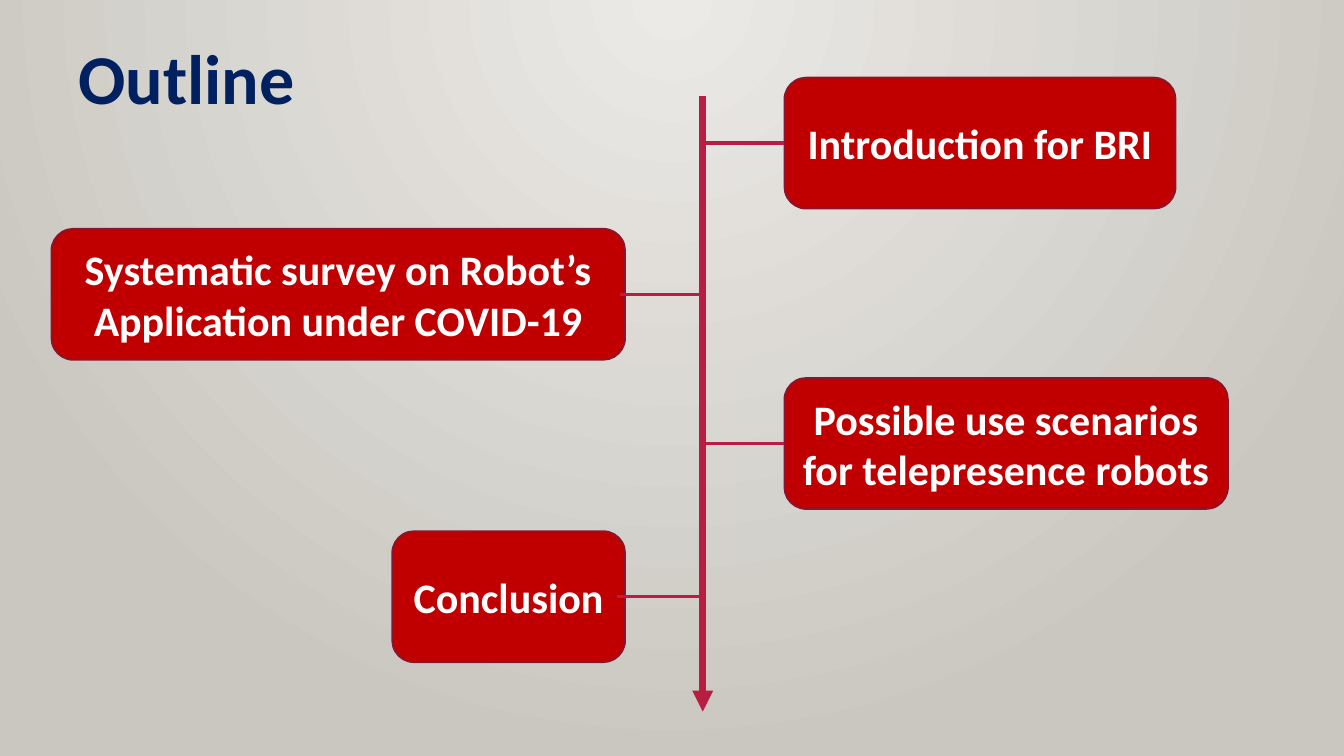
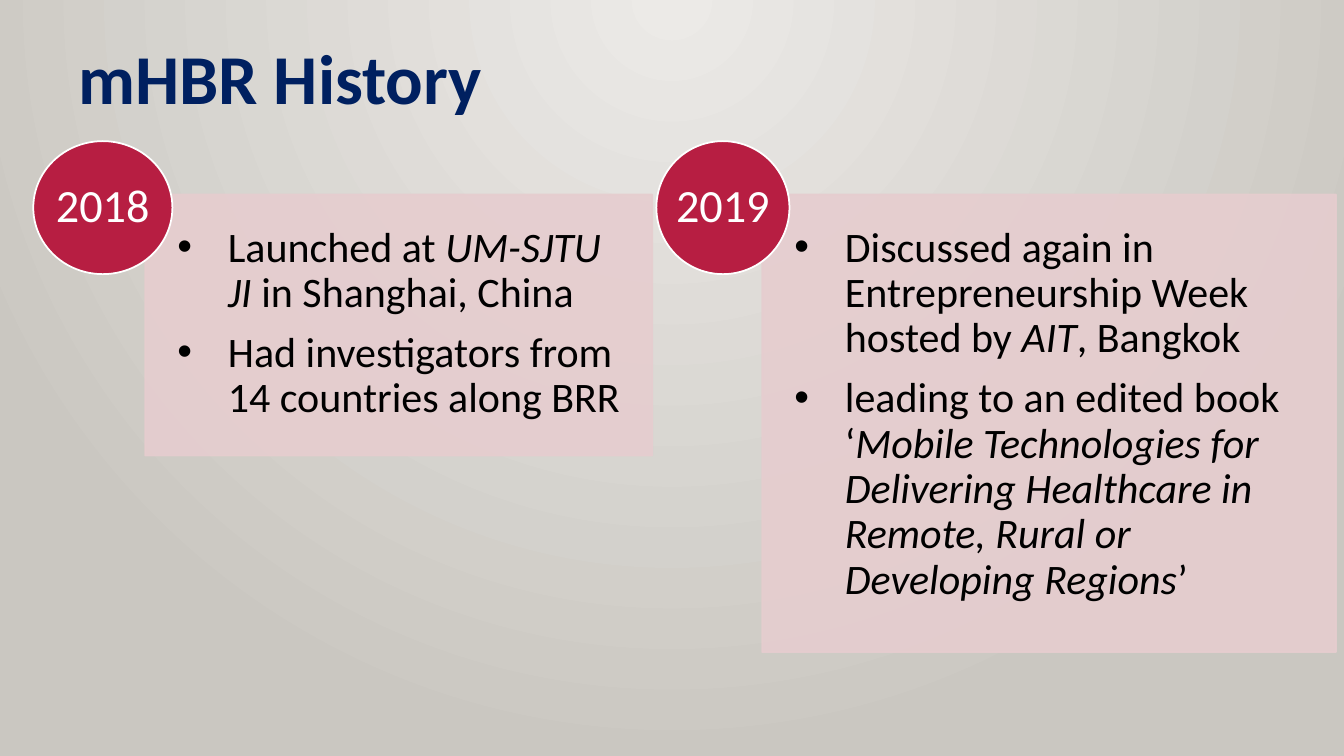
from pptx import Presentation
from pptx import util as u
from pptx.dml.color import RGBColor
from pptx.enum import shapes, text
from pptx.oxml.ns import qn
from lxml import etree

EMU_PER_PX = 9144  # 100 px to the inch
FONT = "Calibri"
NAVY, RED, CRIMSON, MAROON = "002060", "C00000", "B71E42", "871631"
PINK, WHITE, BLACK = "E6CDCF", "FFFFFF", "000000"
GLOW, GREY = "ECEAE7", "CAC7C1"


def px(n):
    return u.Emu(n * EMU_PER_PX)


def rgb(value):
    return RGBColor.from_string(value)


def add_node(parent, tag, **attrs):
    return etree.SubElement(parent, qn(tag), attrs)


def set_opacity(shape, percent):
    """Make the solid fill and outline of a shape partly see-through."""
    for color in shape._element.spPr.iter(qn("a:srgbClr")):
        add_node(color, "a:alpha", val=str(percent * 1000))


def add_bullet(p, indent):
    pPr = p._p.get_or_add_pPr()
    pPr.set("marL", str(px(indent)))
    pPr.set("indent", str(-px(indent)))
    add_node(pPr, "a:buFont", typeface="Arial")
    add_node(pPr, "a:buChar", char="•")


def write(tf, paragraphs, size, color, bold=False, align=text.PP_ALIGN.LEFT,
          anchor=text.MSO_ANCHOR.TOP, wrap=True, insets=None,
          spacing=None, after=None, bullet_indent=0):
    """Fill a text frame; each paragraph lists runs, upright and italic in turn."""
    tf.word_wrap = wrap
    tf.vertical_anchor = anchor
    if insets:
        tf.margin_left, tf.margin_top, tf.margin_right, tf.margin_bottom = map(px, insets)
    for i, runs in enumerate(paragraphs):
        p = tf.add_paragraph() if i else tf.paragraphs[0]
        p.alignment = align
        if spacing:
            p.line_spacing = spacing
        if after:
            p.space_after = u.Pt(after)
        if bullet_indent:
            add_bullet(p, bullet_indent)
        for j, words in enumerate(runs):
            r = p.add_run()
            r.text = words
            r.font.name, r.font.size = FONT, u.Pt(size)
            r.font.bold, r.font.italic = bold, j % 2 == 1
            r.font.color.rgb = rgb(color)


class Deck:
    def __init__(self):
        self.prs = Presentation()
        self.prs.slide_width, self.prs.slide_height = px(1333), px(750)
        self.s = None

    def slide(self, title, title_width):
        self.s = self.prs.slides.add_slide(self.prs.slide_layouts[6])
        self.background()
        tf = self.s.shapes.add_textbox(px(68), px(29), px(title_width), px(94)).text_frame
        write(tf, [[title]], 50, NAVY, bold=True, wrap=False)
        tf.auto_size = text.MSO_AUTO_SIZE.SHAPE_TO_FIT_TEXT

    def background(self):
        """Radial glow from the top centre."""
        fill = self.s.background.fill
        fill.gradient()
        for stop, color in zip(fill.gradient_stops, (GLOW, GREY)):
            stop.color.rgb = rgb(color)
        grad = next(self.s._element.iter(qn("a:gradFill")))
        grad.remove(grad.find(qn("a:lin")))
        path = add_node(grad, "a:path", path="circle")
        add_node(path, "a:fillToRect", l="43000", t="0", r="43000", b="100000")

    def shape(self, kind, left, top, width, height, fill, line):
        sp = self.s.shapes.add_shape(kind, px(left), px(top), px(width), px(height))
        sp.shadow.inherit = False
        sp.fill.solid()
        sp.fill.fore_color.rgb = rgb(fill)
        sp.line.color.rgb = rgb(line)
        sp.line.width = u.Pt(1.25)
        return sp

    def line(self, x1, y1, x2, y2, width, arrow=False):
        c = self.s.shapes.add_connector(shapes.MSO_CONNECTOR.STRAIGHT,
                                        px(x1), px(y1), px(x2), px(y2))
        c.line.color.rgb = rgb(CRIMSON)
        c.line.width = u.Pt(width)
        if arrow:
            add_node(c.line._get_or_add_ln(), "a:tailEnd", type="triangle")
        add_node(c._element.spPr, "a:effectLst")

    def topic(self, left, top, width, words):
        sp = self.shape(shapes.MSO_SHAPE.ROUNDED_RECTANGLE, left, top, width, 130, RED, MAROON)
        write(sp.text_frame, [[words]], 30, WHITE, bold=True,
              align=text.PP_ALIGN.CENTER, anchor=text.MSO_ANCHOR.MIDDLE)

    def panel(self, left, width, height, paragraphs):
        sp = self.shape(shapes.MSO_SHAPE.RECTANGLE, left, 193, width, height, PINK, PINK)
        set_opacity(sp, 90)
        write(sp.text_frame, paragraphs, 30, BLACK, insets=(32, 31, 31, 31),
              spacing=0.9, after=10.5, bullet_indent=50)

    def year(self, left, width, words):
        sp = self.shape(shapes.MSO_SHAPE.OVAL, left, 140, width, 132, CRIMSON, WHITE)
        write(sp.text_frame, [[words]], 33, WHITE, align=text.PP_ALIGN.CENTER,
              anchor=text.MSO_ANCHOR.MIDDLE, wrap=False, insets=(0, 0, 0, 0), spacing=0.9)


def outline(deck):
    deck.slide("Outline", 237)
    axis = 697
    deck.line(axis, 95, axis, 706, 5, arrow=True)
    topics = [  # left, top, width, words, branch end, branch height
        (778, 77, 388, "Introduction for BRI", 778, 142),
        (51, 227, 569, "Systematic survey on Robot’s Application under COVID-19", 615, 292),
        (778, 375, 440, "Possible use scenarios for telepresence robots", 778, 440),
        (389, 527, 231, "Conclusion", 612, 592),
    ]
    for left, top, width, words, end, y in topics:
        deck.topic(left, top, width, words)
        deck.line(axis, y, end, y, 2.5)


def history(deck):
    deck.slide("mHBR History", 424)
    deck.panel(144, 503, 259, [
        ["Launched at ", "UM-SJTU JI", " in Shanghai, China"],
        ["Had investigators from 14 countries along BRR"],
    ])
    deck.year(33, 138, "2018")
    deck.panel(756, 569, 454, [
        ["Discussed again in Entrepreneurship Week hosted by ", "AIT", ", Bangkok"],
        ["leading to an edited book ‘",
         "Mobile Technologies for Delivering Healthcare in Remote, Rural or Developing Regions",
         "’"],
    ])
    deck.year(651, 132, "2019")


def main():
    deck = Deck()
    outline(deck)
    history(deck)
    deck.prs.save("out.pptx")


if __name__ == "__main__":
    main()
